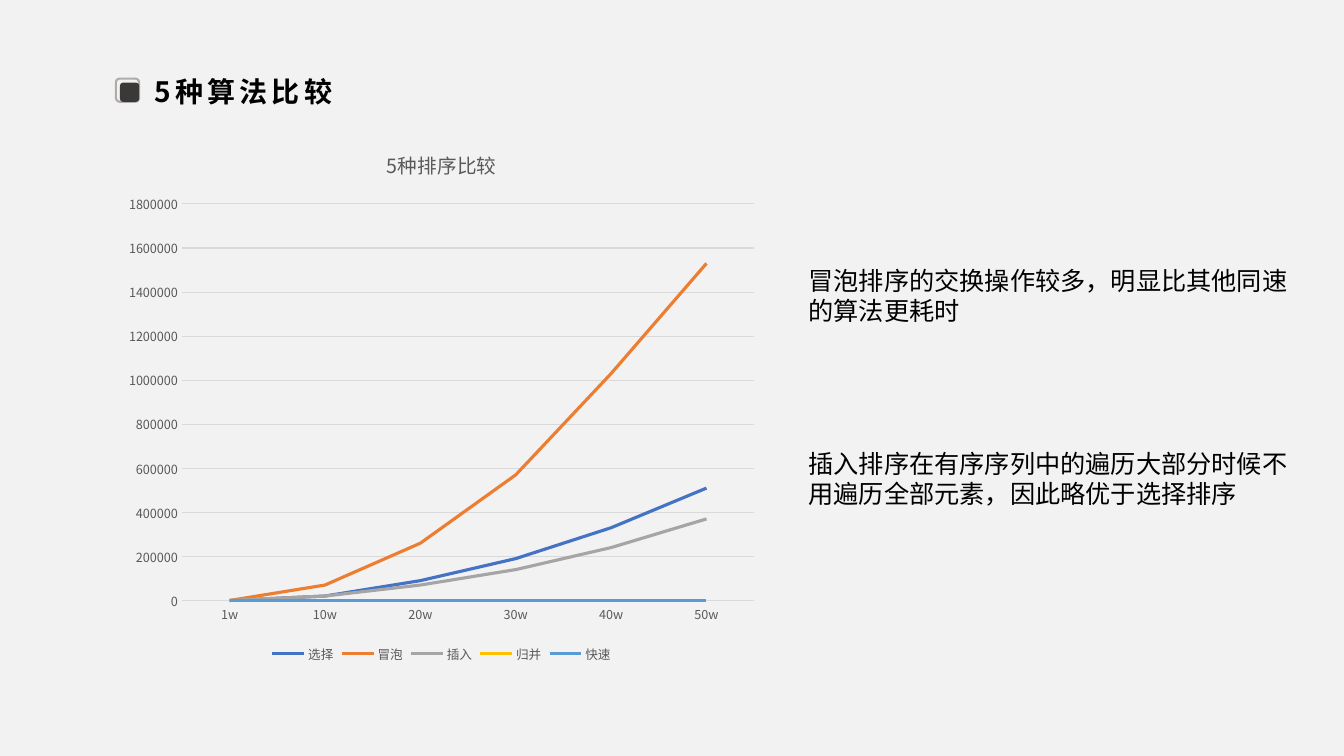
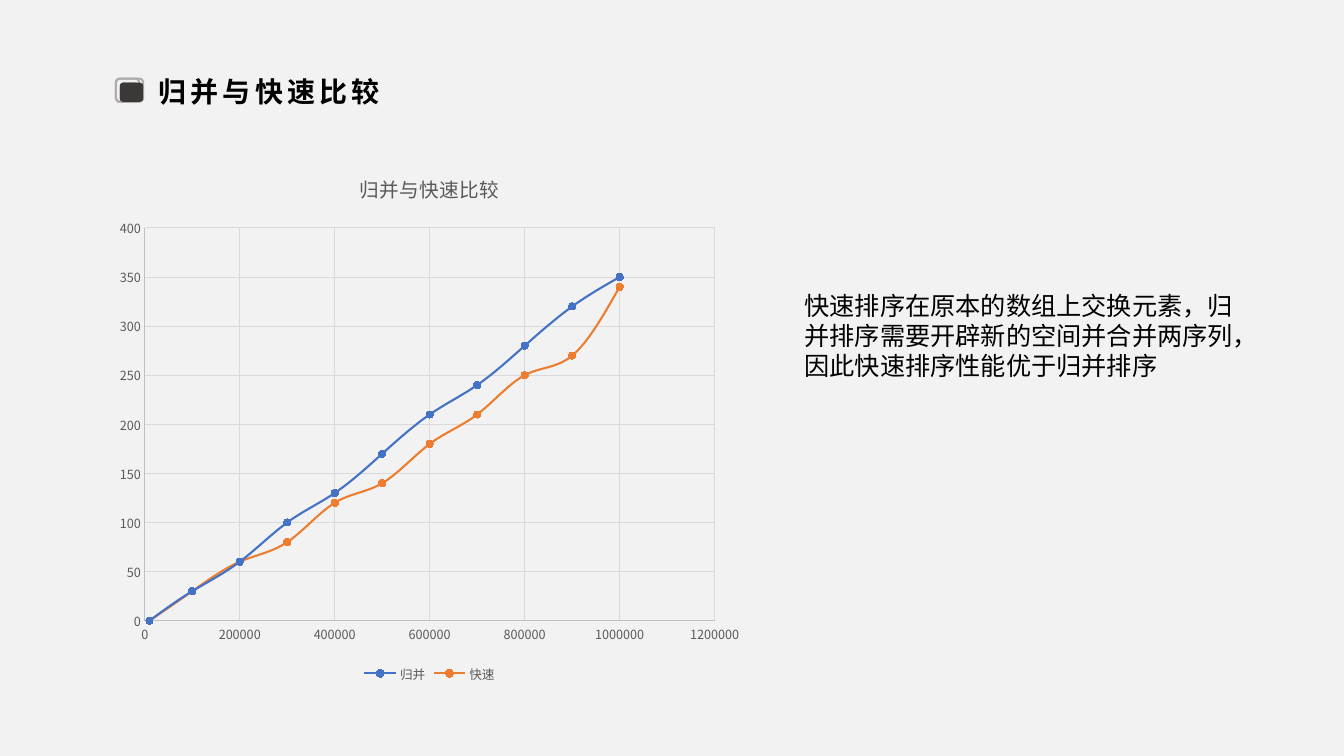
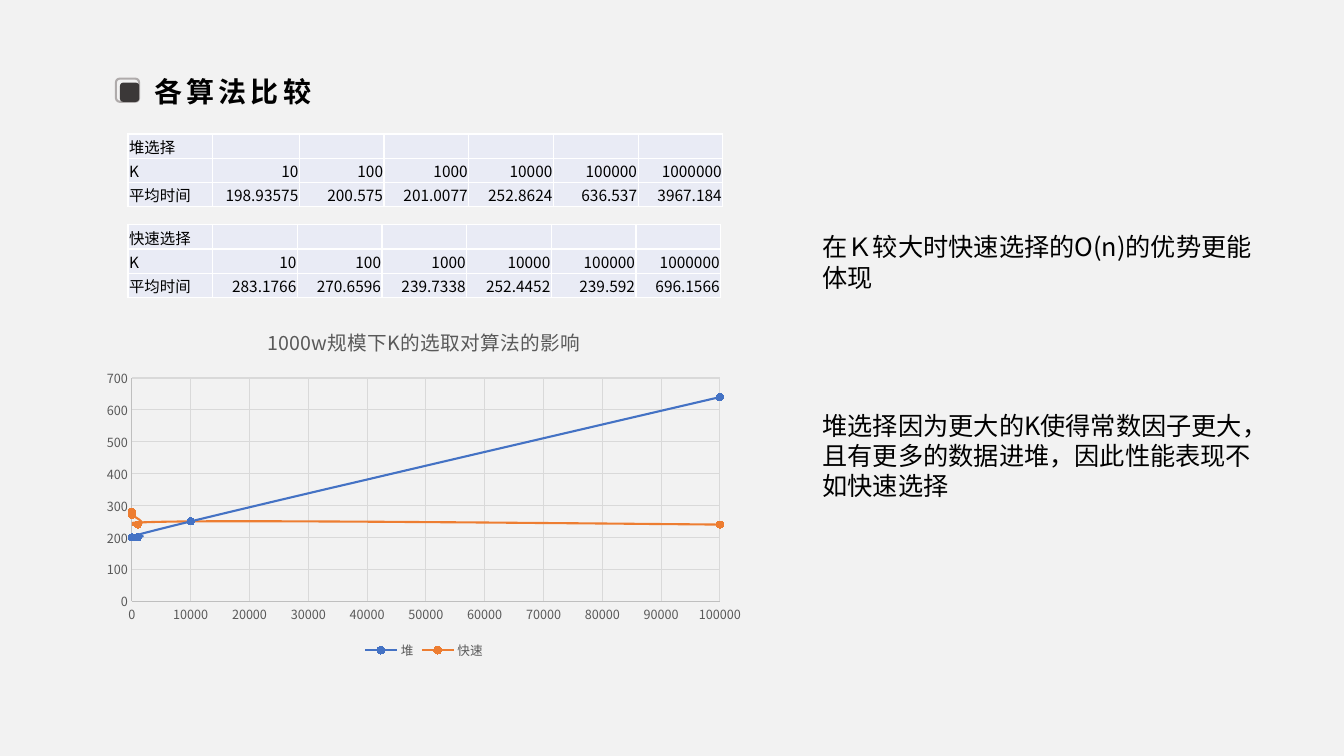
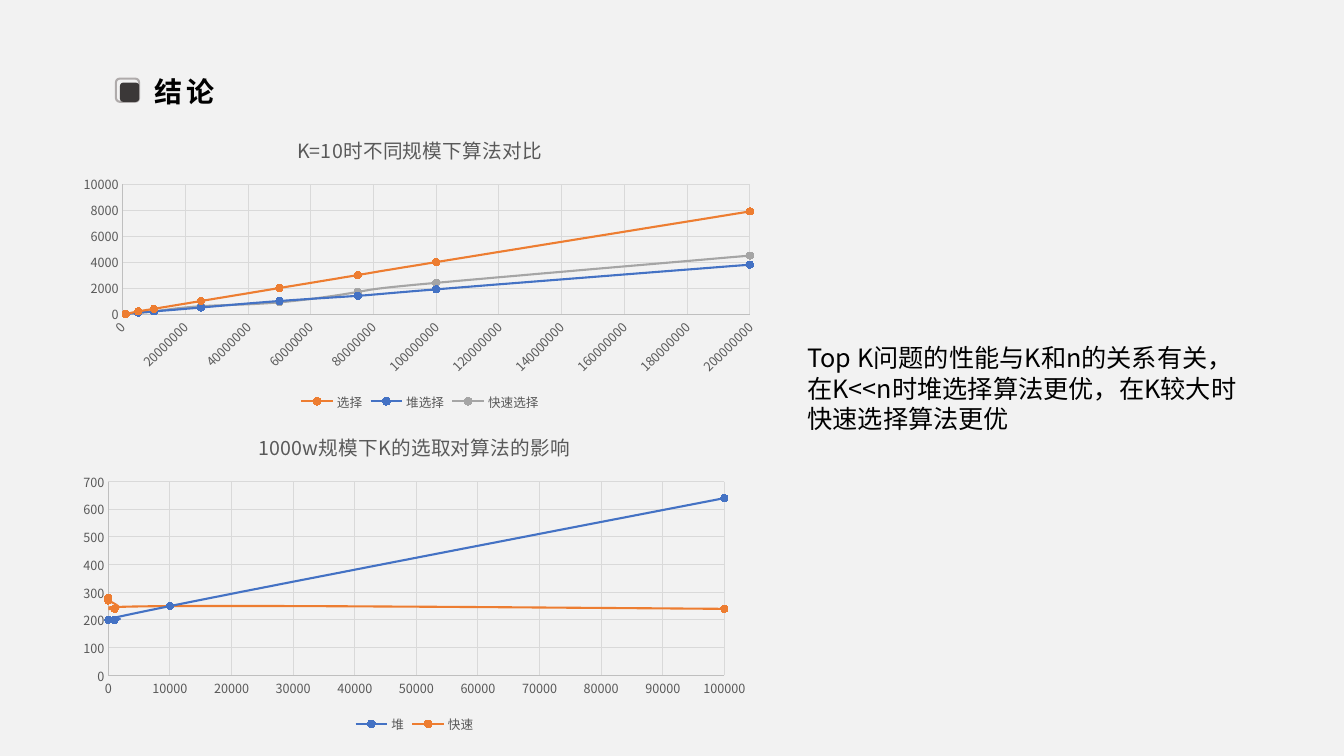
import pptx
import pptx.chart.data
import pptx.dml.color
import pptx.enum.chart
import pptx.enum.shapes
import pptx.enum.text
import pptx.oxml
import pptx.oxml.ns
import pptx.util
from dataclasses import dataclass

qn = pptx.oxml.ns.qn
Inches, Pt = pptx.util.Inches, pptx.util.Pt
CHART = pptx.enum.chart


# Theme
@dataclass(frozen=True)
class Theme:
    font: str = "Noto Sans CJK SC"
    background: str = "F2F2F2"
    ink: str = "000000"
    muted: str = "595959"
    grid: str = "D9D9D9"
    axis: str = "BFBFBF"
    mark_line: str = "AFABAB"
    mark_fill: str = "3B3838"
    cell: str = "E9EBF5"
    border: str = "FFFFFF"
    blue: str = "4472C4"
    orange: str = "ED7D31"
    grey: str = "A5A5A5"
    gold: str = "FFC000"
    sky: str = "5B9BD5"
    title_size: int = 20
    body_size: int = 18
    chart_title_size: int = 14
    table_size: int = 11
    label_size: int = 9


THEME = Theme()
MARK = (1.15, 0.78, 0.23)   # left, top, height of the title mark
INSET = 0.04                # offset of the dark square in the mark
ROW_HEIGHT = 0.24
COLUMN_WIDTH = 0.84

# Content: chart data
SIZES_TO_MILLION = [10000] + [100000 * step for step in range(1, 11)]
SIZES_TO_200_MILLION = [1000000 * n for n in (1, 5, 10, 25, 50, 75, 100, 200)]

FIVE_SORTS = dict(
    title="5种排序比较",
    categories=["1w", "10w", "20w", "30w", "40w", "50w"],
    series=[
        ("选择", THEME.blue, [0, 20000, 90000, 190000, 330000, 510000]),
        ("冒泡", THEME.orange, [0, 70000, 260000, 570000, 1030000, 1530000]),
        ("插入", THEME.grey, [0, 20000, 70000, 140000, 240000, 370000]),
        ("归并", THEME.gold, [0] * 6),
        ("快速", THEME.sky, [0] * 6),
    ],
)
MERGE_QUICK = dict(
    title="归并与快速比较",
    x=SIZES_TO_MILLION,
    series=[
        ("归并", THEME.blue, [0, 30, 60, 100, 130, 170, 210, 240, 280, 320, 350]),
        ("快速", THEME.orange, [0, 30, 60, 80, 120, 140, 180, 210, 250, 270, 340]),
    ],
)
K_INFLUENCE = dict(
    title="1000w规模下K的选取对算法的影响",
    x=[0, 0, 1000, 10000, 100000],
    x_range=(0, 100000),
    series=[
        ("堆", THEME.blue, [200, 200, 200, 250, 640]),
        ("快速", THEME.orange, [280, 270, 240, 250, 240]),
    ],
)
SCALE_COMPARISON = dict(
    title="K=10时不同规模下算法对比",
    x=SIZES_TO_200_MILLION,
    x_range=(None, 200000000),
    series=[
        ("选择", THEME.orange, [0, 200, 400, 1000, 2000, 3000, 4000, 7900]),
        ("堆选择", THEME.blue, [0, 100, 200, 500, 1000, 1400, 1900, 3800]),
        ("快速选择", THEME.grey, [0, 100, 200, 600, 900, 1700, 2400, 4500]),
    ],
)

# Content: tables
K_ROW = ["K"] + [str(10 ** power) for power in range(1, 7)]
HEAP_TABLE = [
    ["堆选择"] + [""] * 6,
    K_ROW,
    ["平均时间", "198.93575", "200.575", "201.0077", "252.8624", "636.537", "3967.184"],
]
QUICK_TABLE = [
    ["快速选择"] + [""] * 6,
    K_ROW,
    ["平均时间", "283.1766", "270.6596", "239.7338", "252.4452", "239.592", "696.1566"],
]

# Content: slides; every box is left, top, width, height in inches
SLIDES = [
    dict(
        title="5种算法比较",
        charts=[(FIVE_SORTS, (1.15, 1.27, 6.46, 5.34))],
        notes=[
            ("冒泡排序的交换操作较多，明显比其他同速的算法更耗时", (7.92, 2.58, 5.12, 0.71)),
            ("插入排序在有序序列中的遍历大部分时候不用遍历全部元素，因此略优于选择排序",
             (7.92, 4.4, 5.12, 0.71)),
        ],
    ),
    dict(
        title="归并与快速比较",
        title_box=(1.47, 0.69, 2.63, 0.77),
        wide_mark=0.27,
        charts=[(MERGE_QUICK, (1.06, 1.51, 6.4, 5.3))],
        notes=[
            ("快速排序在原本的数组上交换元素，归并排序需要开辟新的空间并合并两序列，"
             "因此快速排序性能优于归并排序", (7.88, 2.83, 4.54, 1.01)),
        ],
    ),
    dict(
        title="各算法比较",
        charts=[(K_INFLUENCE, (0.93, 3.07, 6.55, 3.51))],
        notes=[
            ("在Ｋ较大时快速选择的O(n)的优势更能体现", (8.06, 2.25, 4.58, 0.71)),
            ("堆选择因为更大的K使得常数因子更大，且有更多的数据进堆，因此性能表现不如快速选择",
             (8.06, 4.02, 4.58, 1.01)),
        ],
        tables=[(HEAP_TABLE, (1.27, 1.33), 0.86), (QUICK_TABLE, (1.27, 2.23), COLUMN_WIDTH)],
    ),
    dict(
        title="结论",
        charts=[
            (K_INFLUENCE, (0.69, 4.11, 6.84, 3.2)),
            (SCALE_COMPARISON, (0.69, 1.17, 6.95, 2.94)),
        ],
        notes=[
            ("Top K问题的性能与K和n的关系有关，在K<<n时堆选择算法更优，在K较大时快速选择算法更优",
             (7.91, 3.35, 4.58, 1.01)),
        ],
    ),
]


# Shared formatting
def rgb(color):
    return pptx.dml.color.RGBColor.from_string(color)


def inches(lengths):
    return [Inches(length) for length in lengths]


def style_font(font, size, color, bold=False):
    font.name = THEME.font
    font.size = Pt(size)
    font.bold = bold
    font.color.rgb = rgb(color)


def use_east_asian_font(element):
    """Give East Asian text the same typeface as Latin text."""
    for latin in list(element.iter(qn("a:latin"))):
        east_asian = pptx.oxml.parse_xml(
            f'<a:ea {pptx.oxml.ns.nsdecls("a")} typeface="{THEME.font}"/>')
        latin.addnext(east_asian)


def style_line(line, color, width):
    line.color.rgb = rgb(color)
    line.width = Pt(width)


# Titles, marks and notes
def add_title(page, text, box=None):
    title = page.shapes.title
    if box:
        title.left, title.top, title.width, title.height = inches(box)
    title.text_frame.text = text
    para = title.text_frame.paragraphs[0]
    para.alignment = pptx.enum.text.PP_ALIGN.LEFT
    span = para.runs[0]
    style_font(span.font, THEME.title_size, THEME.ink, bold=True)
    span.font.element.set("spc", "300") if hasattr(span.font, "element") else \
        para.runs[0]._r.get_or_add_rPr().set("spc", "300")
    use_east_asian_font(title.element)


def add_mark(page, width):
    left, top, height = MARK
    shape_type = pptx.enum.shapes.MSO_SHAPE.ROUNDED_RECTANGLE
    frame = page.shapes.add_shape(shape_type, *inches((left, top, width, height)))
    frame.fill.background()
    style_line(frame.line, THEME.mark_line, 1.5)
    core = page.shapes.add_shape(shape_type, *inches(
        (left + INSET, top + INSET, width - INSET, height - INSET)))
    core.fill.solid()
    core.fill.fore_color.rgb = rgb(THEME.mark_fill)
    core.line.fill.background()
    for shape in (frame, core):
        shape.shadow.inherit = False


def add_note(page, text, box):
    note = page.shapes.add_textbox(*inches(box))
    note.text_frame.word_wrap = True
    note.text_frame.text = text
    style_font(note.text_frame.paragraphs[0].runs[0].font, THEME.body_size, THEME.ink)
    use_east_asian_font(note.element)


# Tables
def style_cell(cell, text, align):
    cell.margin_left = cell.margin_right = cell.margin_top = Inches(0.01)
    cell.margin_bottom = 0
    cell.vertical_anchor = pptx.enum.text.MSO_ANCHOR.MIDDLE
    cell.text_frame.text = text
    para = cell.text_frame.paragraphs[0]
    para.alignment = align
    names = pptx.oxml.ns.nsdecls("a")
    for span in para.runs:
        style_font(span.font, THEME.table_size, THEME.ink)
    if not text:
        para._p.append(pptx.oxml.parse_xml(
            f'<a:endParaRPr {names} sz="{THEME.table_size * 100}"/>'))
    properties = cell._tc.get_or_add_tcPr()
    for side in ("lnL", "lnR", "lnT", "lnB"):
        properties.append(pptx.oxml.parse_xml(
            f'<a:{side} {names} w="12700"><a:solidFill>'
            f'<a:srgbClr val="{THEME.border}"/></a:solidFill></a:{side}>'))
    cell.fill.solid()
    cell.fill.fore_color.rgb = rgb(THEME.cell)


def add_table(page, rows, corner, second_width):
    widths = [COLUMN_WIDTH] * len(rows[0])
    widths[1] = second_width
    size = (sum(widths), ROW_HEIGHT * len(rows))
    frame = page.shapes.add_table(len(rows), len(widths), *inches(corner + size))
    table = frame.table
    table.first_row = table.horz_banding = False
    for column, width in zip(table.columns, widths):
        column.width = Inches(width)
    aligns = pptx.enum.text.PP_ALIGN
    for row, texts in zip(table.rows, rows):
        row.height = Inches(ROW_HEIGHT)
        for index, (cell, text) in enumerate(zip(row.cells, texts)):
            style_cell(cell, text, aligns.RIGHT if index else aligns.LEFT)
    use_east_asian_font(frame.element)


# Charts
def chart_data(spec_data):
    if "categories" in spec_data:
        data = pptx.chart.data.CategoryChartData()
        data.categories = spec_data["categories"]
        for name, _, values in spec_data["series"]:
            data.add_series(name, values)
    else:
        data = pptx.chart.data.XyChartData()
        for name, _, values in spec_data["series"]:
            series = data.add_series(name)
            for x, y in zip(spec_data["x"], values):
                series.add_data_point(x, y)
    return data


def style_axis(axis, line_color, has_grid):
    axis.major_tick_mark = axis.minor_tick_mark = CHART.XL_TICK_MARK.NONE
    style_font(axis.tick_labels.font, THEME.label_size, THEME.muted)
    for body in axis._element.iter(qn("a:bodyPr")):
        body.set("rot", "-60000000")    # automatic label rotation
        body.set("vert", "horz")
    axis.has_major_gridlines = has_grid
    if has_grid:
        style_line(axis.major_gridlines.format.line, THEME.grid, 0.75)
    if line_color:
        style_line(axis.format.line, line_color, 0.75)
    else:
        axis.format.line.fill.background()


def clear_backgrounds(chart):
    blank = (f'<c:spPr {pptx.oxml.ns.nsdecls("c", "a")}><a:noFill/>'
             '<a:ln><a:noFill/></a:ln></c:spPr>')
    body = chart.element.find(qn("c:chart"))
    body.addnext(pptx.oxml.parse_xml(blank))
    body.find(qn("c:plotArea")).append(pptx.oxml.parse_xml(blank))


def add_chart(page, content, box):
    is_line = "categories" in content
    types = CHART.XL_CHART_TYPE
    chart = page.shapes.add_chart(
        types.LINE if is_line else types.XY_SCATTER_SMOOTH,
        *inches(box), chart_data(content)).chart
    style_font(chart.font, 10, THEME.ink)

    chart.has_title = True
    chart.chart_title.include_in_layout = False
    title = chart.chart_title.text_frame
    title.text = content["title"]
    style_font(title.paragraphs[0].runs[0].font, THEME.chart_title_size, THEME.muted)

    chart.has_legend = True
    chart.legend.position = CHART.XL_LEGEND_POSITION.BOTTOM
    chart.legend.include_in_layout = False
    style_font(chart.legend.font, THEME.label_size, THEME.muted)

    style_axis(chart.category_axis, THEME.grid if is_line else THEME.axis, not is_line)
    style_axis(chart.value_axis, None if is_line else THEME.axis, True)
    low, high = content.get("x_range", (None, None))
    if low is not None:
        chart.category_axis.minimum_scale = low
    if high is not None:
        chart.category_axis.maximum_scale = high

    plot = chart.plots[0]
    plot.vary_by_categories = False
    for series, (_, color, _) in zip(plot.series, content["series"]):
        style_line(series.format.line, color, 2.25 if is_line else 1.5)
        if not is_line:
            series.marker.style = CHART.XL_MARKER_STYLE.CIRCLE
            series.marker.size = 5
            series.marker.format.fill.solid()
            series.marker.format.fill.fore_color.rgb = rgb(color)
            style_line(series.marker.format.line, color, 0.75)
    for smooth in chart.element.iter(qn("c:smooth")):
        smooth.set("val", "0" if is_line else "1")
    clear_backgrounds(chart)
    use_east_asian_font(chart.element)


# Deck
def prepare_layout(deck):
    """Set the shared background and title place, and return the layout."""
    fill = deck.slide_master.background.fill
    fill.solid()
    fill.fore_color.rgb = rgb(THEME.background)
    layout = deck.slide_layouts.get_by_name("Title Only")
    title = layout.placeholders[0]
    title.left, title.top, title.width, title.height = inches((1.43, 0.69, 2.23, 0.44))
    title.text_frame.vertical_anchor = pptx.enum.text.MSO_ANCHOR.TOP
    title.text_frame.auto_size = pptx.enum.text.MSO_AUTO_SIZE.NONE
    return layout


def main():
    deck = pptx.Presentation()
    deck.slide_width, deck.slide_height = inches((13.33, 7.5))
    layout = prepare_layout(deck)
    for content in SLIDES:
        page = deck.slides.add_slide(layout)
        add_title(page, content["title"], content.get("title_box"))
        add_mark(page, MARK[2])
        if "wide_mark" in content:
            add_mark(page, content["wide_mark"])
        for chart, box in content["charts"]:
            add_chart(page, chart, box)
        for text, box in content["notes"]:
            add_note(page, text, box)
        for rows, corner, second_width in content.get("tables", []):
            add_table(page, rows, corner, second_width)
    deck.save("out.pptx")


if __name__ == "__main__":
    main()
